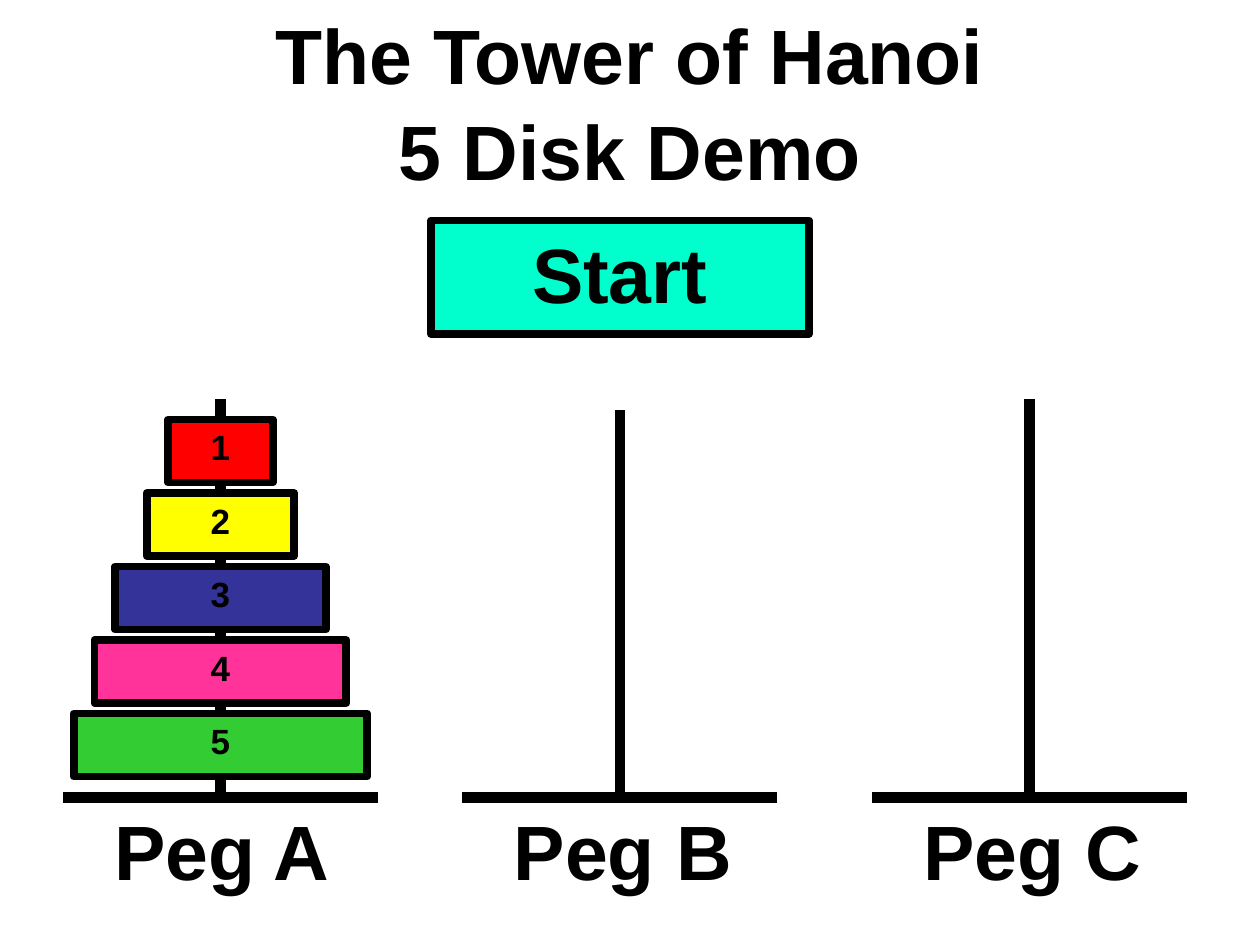
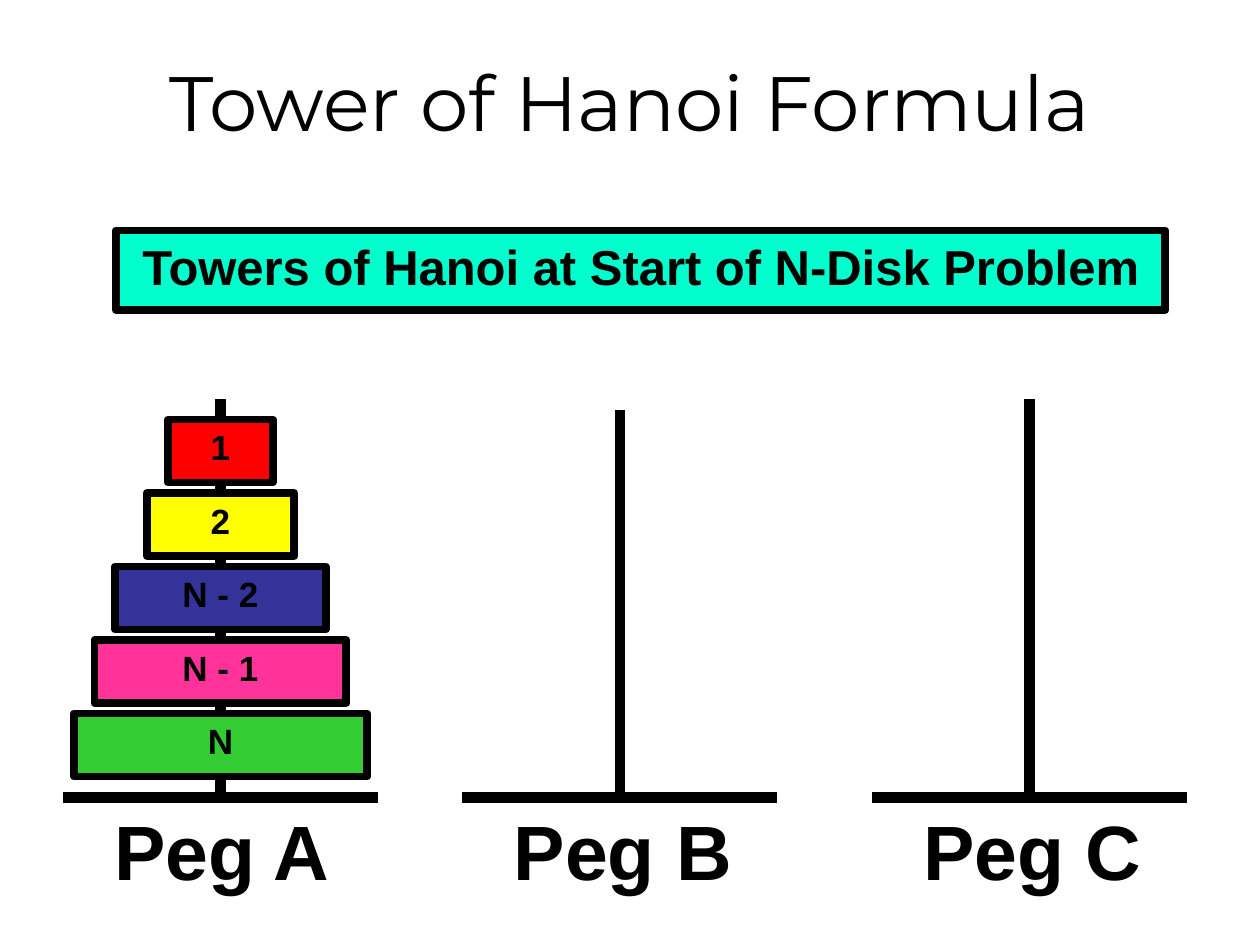
"""Build two Tower of Hanoi slides: a five-disk start and the N-disk formula."""
from dataclasses import dataclass

from lxml import etree
from pptx import Presentation, util as u
from pptx.dml.color import RGBColor
from pptx.enum import shapes, text
from pptx.oxml.ns import qn


@dataclass(frozen=True)
class Theme:
    ink: str = "000000"
    mint: str = "00FFCC"
    disks: tuple = ("FF0000", "FFFF00", "333399", "FF3399", "33CC33")
    bold: str = "Arial"
    light: str = "Montserrat"
    big: int = 44
    mid: int = 28
    small: int = 20
    edge: float = 4.5
    rod: float = 6


class Deck:
    def __init__(self, theme):
        self.theme = theme
        self.file = Presentation()
        self.file.slide_width = u.Inches(10)
        self.file.slide_height = u.Inches(7.5)

    def page(self):
        self.slide = self.file.slides.add_slide(self.file.slide_layouts[6])
        self.pen = self.slide.shapes

    def letter(self, shape, words, size, align, font=None, bold=True):
        frame = shape.text_frame
        frame.text = words
        for para in frame.paragraphs:
            para.alignment = align
            for run in para.runs:
                run.font.name = font or self.theme.bold
                run.font.size = u.Pt(size)
                run.font.bold = bold
                run.font.color.rgb = RGBColor.from_string(self.theme.ink)
        return frame

    def title(self, words, font=None, bold=True, gap=1.0):
        box = self.pen.add_textbox(0, u.Inches(0.17), u.Inches(10), u.Inches(1.25))
        frame = self.letter(box, words, self.theme.big, text.PP_ALIGN.CENTER, font, bold)
        frame.word_wrap = True
        frame.vertical_anchor = text.MSO_ANCHOR.MIDDLE
        for para in frame.paragraphs:
            para.line_spacing = gap

    def label(self, words, left, top):
        box = self.pen.add_textbox(u.Inches(left), u.Inches(top), u.Inches(1.93), u.Inches(0.83))
        frame = self.letter(box, words, self.theme.big, text.PP_ALIGN.LEFT)
        frame.word_wrap = False

    def block(self, words, left, top, width, height, fill, size):
        box = self.pen.add_shape(
            shapes.MSO_SHAPE.RECTANGLE,
            u.Inches(left), u.Inches(top), u.Inches(width), u.Inches(height))
        box.shadow.inherit = False
        box.fill.solid()
        box.fill.fore_color.rgb = RGBColor.from_string(fill)
        box.line.color.rgb = RGBColor.from_string(self.theme.ink)
        box.line.width = u.Pt(self.theme.edge)
        frame = self.letter(box, words, size, text.PP_ALIGN.CENTER)
        frame.word_wrap = True
        frame.vertical_anchor = text.MSO_ANCHOR.TOP

    def line(self, *ends):
        rod = self.pen.add_connector(
            shapes.MSO_CONNECTOR.STRAIGHT, *(u.Inches(end) for end in ends))
        rod.line.color.rgb = RGBColor.from_string(self.theme.ink)
        rod.line.width = u.Pt(self.theme.rod)
        etree.SubElement(rod.element.spPr, qn("a:effectLst"))

    def tower(self, names):
        self.pen = self.slide.shapes.add_group_shape().shapes
        base, span = 6.33, 2.5
        pegs = (("A", 0.5, 3.17), ("B", 3.67, 3.25), ("C", 6.92, 3.17))
        for _, left, top in pegs:
            mid = left + span / 2
            self.line(left, base, left + span, base)
            self.line(mid, base, mid, top)
        mid = pegs[0][1] + span / 2
        widths = (0.83, 1.17, 1.67, 2, 2.33)
        disks = list(enumerate(zip(names, widths, self.theme.disks)))
        for rank, (name, width, fill) in reversed(disks):
            top = 3.33 + rank * 7 / 12
            self.block(name, mid - width / 2, top, width, 0.5, fill, self.theme.small)
        for name, left, _ in pegs:
            self.label(f"Peg {name}", left + 0.31, base)
        self.pen = self.slide.shapes


def main():
    theme = Theme()
    deck = Deck(theme)

    deck.page()
    deck.tower(("1", "2", "3", "4", "5"))
    deck.title("The Tower of Hanoi\n5 Disk Demo", gap=1.04)
    deck.block("Start", 3.42, 1.75, 3, 0.9, theme.mint, theme.big)

    deck.page()
    deck.title("Tower of Hanoi Formula", theme.light, False)
    deck.block("Towers of Hanoi at Start of N-Disk Problem",
               0.92, 1.83, 8.33, 0.63, theme.mint, theme.mid)
    deck.tower(("1", "2", "N - 2", "N - 1", "N"))

    deck.file.save("out.pptx")


if __name__ == "__main__":
    main()
